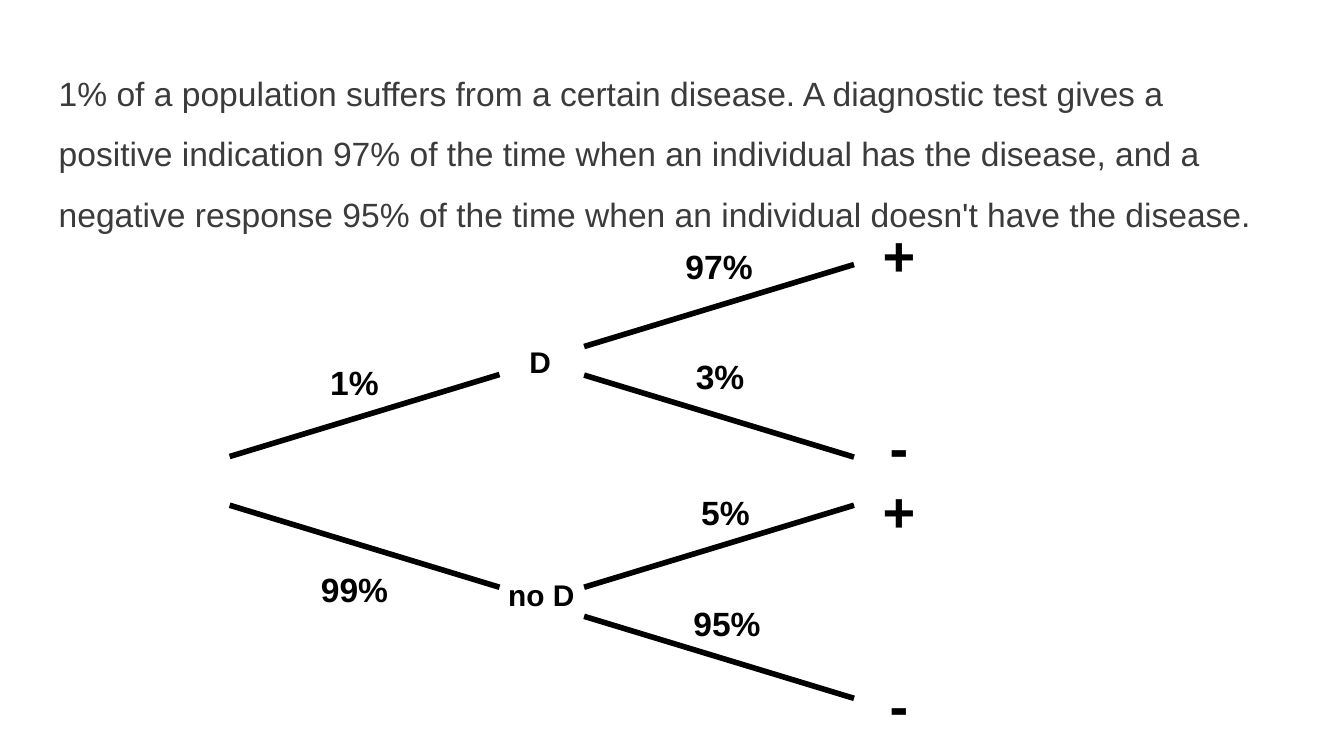
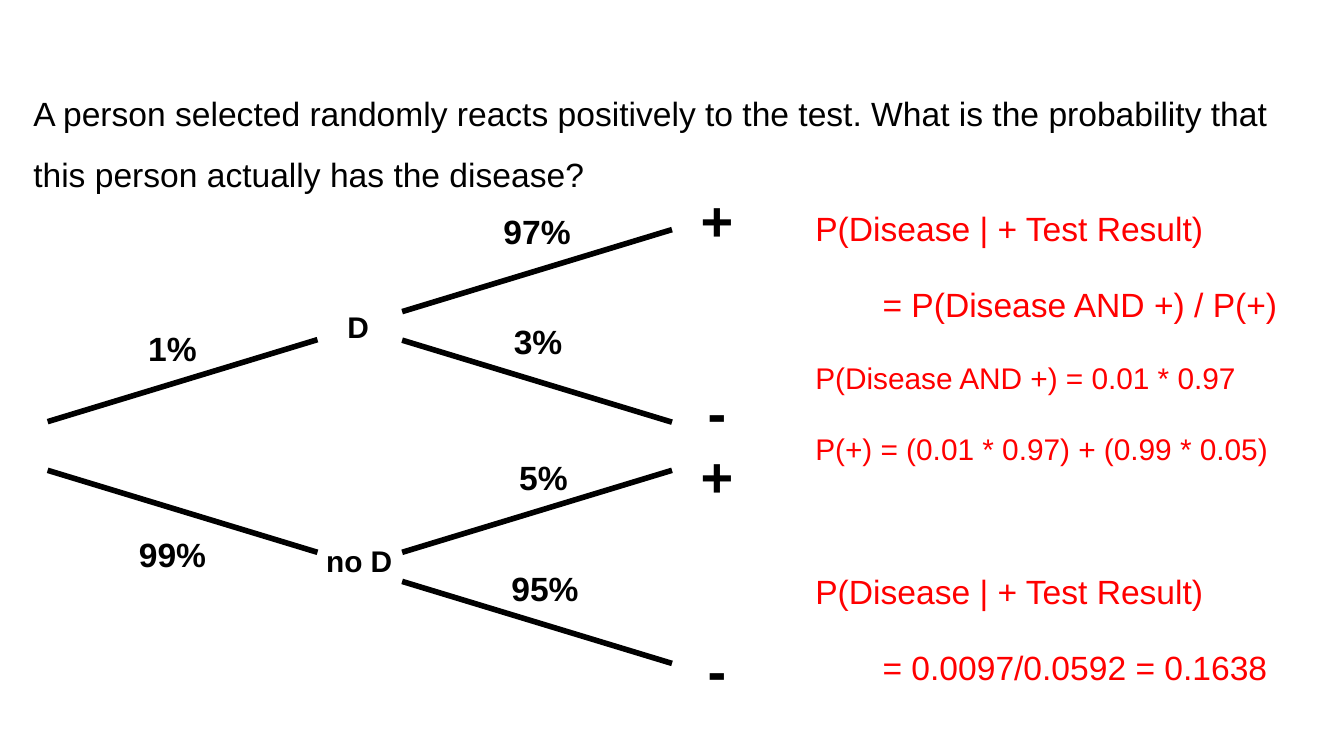
import pptx
import pptx.util
from pptx.dml.color import RGBColor
from pptx.enum.shapes import MSO_CONNECTOR
from pptx.enum.text import MSO_ANCHOR, PP_ALIGN
from pptx.oxml.ns import qn
from lxml import etree

Cm = pptx.util.Cm
Pt = pptx.util.Pt

FONT = "Arial"
BLACK = RGBColor(0x00, 0x00, 0x00)
GREY = RGBColor(0x3B, 0x3B, 0x3B)
RED = RGBColor(0xFF, 0x00, 0x00)

# ---- Content ----
PROBLEM = (
    "1% of a population suffers from a certain disease. A diagnostic test gives a "
    "positive indication 97% of the time when an individual has the disease, and a "
    "negative response 95% of the time when an individual doesn't have the disease."
)
QUESTION = (
    "A person selected randomly reacts positively to the test. What is the "
    "probability that this person actually has the disease?"
)
# text, size, first-line indent (cm), space before (pt)
SOLUTION = [
    ("P(Disease | + Test Result)", 18, 0, 0),
    ("= P(Disease AND +) / P(+)", 18, 1.27, 16),
    ("P(Disease AND +) = 0.01 * 0.97", 16, 0, 16),
    ("P(+) = (0.01 * 0.97) + (0.99 * 0.05)", 16, 0, 16),
    ("P(Disease | + Test Result)", 18, 0, 53),
    ("= 0.0097/0.0592 = 0.1638", 18, 1.27, 16),
]

# Tree, in cm from its own top left corner
ROOT_X, NODE_X = 0, 6.7
RUN, RISE = 5.1, 1.55
BRANCHES = [  # start x, start y, direction (-1 up, 1 down)
    (ROOT_X, 4.72, -1), (ROOT_X, 5.64, 1),
    (NODE_X, 2.64, -1), (NODE_X, 3.18, 1),
    (NODE_X, 7.19, -1), (NODE_X, 7.74, 1),
]
NARROW, WIDE, LABEL_HEIGHT = 1.73, 2.18, 1.3
RESULT_X = 12.65
LABELS = [  # text, centre x, centre y, width, size
    ("D", 5.87, 2.98, NARROW, 16),
    ("99%", 2.36, 7.25, WIDE, 18),
    ("1%", 2.36, 3.34, NARROW, 18),
    ("no D", 5.89, 7.4, WIDE, 16),
    ("+", RESULT_X, 0.65, NARROW, 30),
    ("-", RESULT_X, 4.28, NARROW, 30),
    ("-", RESULT_X, 9.16, NARROW, 30),
    ("+", RESULT_X, 5.5, NARROW, 30),
    ("97%", 9.25, 1.13, WIDE, 18),
    ("3%", 9.27, 3.21, WIDE, 18),
    ("5%", 9.37, 5.78, WIDE, 18),
    ("95%", 9.4, 7.89, WIDE, 18),
]


# ---- Helpers ----
def add_box(shapes, left, top, width, height, anchor=MSO_ANCHOR.TOP):
    box = shapes.add_textbox(Cm(left), Cm(top), Cm(width), Cm(height))
    frame = box.text_frame
    frame.word_wrap = True
    frame.vertical_anchor = anchor
    frame.margin_left = frame.margin_right = Cm(0.25)
    frame.margin_top = frame.margin_bottom = Cm(0.25)
    return frame


def write(para, text, size, color=BLACK, bold=False, spacing=None):
    para.text = text
    para.font.name = FONT
    para.font.size = Pt(size)
    para.font.bold = bold
    para.font.color.rgb = color
    if spacing:
        para.line_spacing = spacing


def add_tree(page, left, top):
    shapes = page.shapes.add_group_shape().shapes
    for x, y, direction in BRANCHES:
        line = shapes.add_connector(
            MSO_CONNECTOR.STRAIGHT, Cm(left + x), Cm(top + y),
            Cm(left + x + RUN), Cm(top + y + direction * RISE))
        line.line.color.rgb = BLACK
        line.line.width = Pt(3)
        etree.SubElement(line._element.spPr, qn("a:effectLst"))
    for text, x, y, width, size in LABELS:
        frame = add_box(shapes, left + x - width / 2, top + y - LABEL_HEIGHT / 2,
                        width, LABEL_HEIGHT)
        para = frame.paragraphs[0]
        write(para, text, size, bold=True)
        para.alignment = PP_ALIGN.CENTER


def add_solution(page):
    frame = add_box(page.shapes, 15.16, 3.56, 10.36, 11.05)
    for number, (text, size, indent, before) in enumerate(SOLUTION):
        para = frame.add_paragraph() if number else frame.paragraphs[0]
        if indent:
            properties = para._p.get_or_add_pPr()
            properties.set("marL", "0")
            properties.set("indent", str(Cm(indent)))
        write(para, text, size, RED, spacing=1.15)
        para.space_before = Pt(before)


def main():
    deck = pptx.Presentation()
    deck.slide_width, deck.slide_height = Cm(25.4), Cm(14.29)
    blank = deck.slide_layouts[6]

    # Problem and tree
    page = deck.slides.add_slide(blank)
    frame = add_box(page.shapes, 0.86, 0.74, 23.67, 3.96)
    write(frame.paragraphs[0], PROBLEM, 18, GREY, spacing=1.5)
    add_tree(page, 4.34, 3.91)

    # Question, tree and solution
    page = deck.slides.add_slide(blank)
    add_solution(page)
    add_tree(page, 0.9, 3.25)
    frame = add_box(page.shapes, 0.38, 0.81, 24.64, 3.43, MSO_ANCHOR.MIDDLE)
    write(frame.paragraphs[0], QUESTION, 18, spacing=1.5)
    frame.paragraphs[0].space_after = Pt(16)

    deck.save("out.pptx")


if __name__ == "__main__":
    main()
